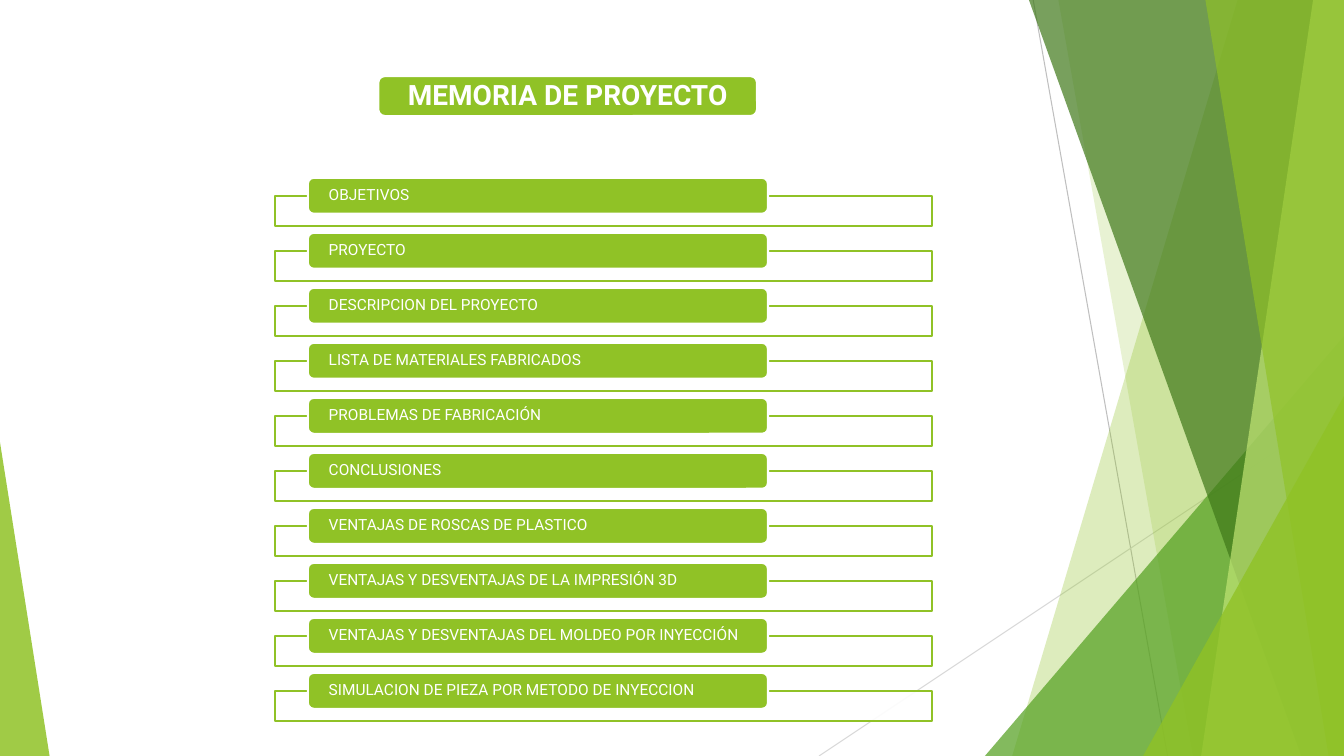
from dataclasses import dataclass

import pptx
import pptx.dml.color
import pptx.enum.shapes
import pptx.enum.text
import pptx.oxml
import pptx.oxml.ns
import pptx.util
from lxml import etree

Pt = pptx.util.Pt
MSO_SHAPE = pptx.enum.shapes.MSO_SHAPE
PP_ALIGN = pptx.enum.text.PP_ALIGN
qn = pptx.oxml.ns.qn


@dataclass(frozen=True)
class Theme:
    lime: str = "90C226"
    leaf: str = "54A021"
    forest: str = "3F7819"
    pale: str = "C0E474"
    white: str = "FFFFFF"
    gray: str = "BFBFBF"
    light_gray: str = "D9D9D9"
    font: str = "Roboto"
    title_size: float = 20
    topic_size: float = 11
    outline: float = 1.5
    hairline: float = 0.75


THEME = Theme()
WIDTH, HEIGHT = 960, 540

RAYS = [
    ((738, 0), (834, HEIGHT), THEME.gray),
    ((WIDTH, 290), (585, HEIGHT), THEME.light_gray),
]
# Top edge x, bottom edge x, colour, opacity in percent
BACK_SHARDS = [(884, 723, THEME.lime, 30), (756, 852, THEME.lime, 20)]
FRONT_SHARDS = [
    (735, 929.5, THEME.forest, 70),
    (938, 858, THEME.pale, 70),
    (861, 949, THEME.lime, 65),
]

TOPICS = [
    "OBJETIVOS",
    "PROYECTO",
    "DESCRIPCION DEL PROYECTO",
    "LISTA DE MATERIALES FABRICADOS",
    "PROBLEMAS DE FABRICACIÓN",
    "CONCLUSIONES",
    "VENTAJAS DE ROSCAS DE PLASTICO",
    "VENTAJAS Y DESVENTAJAS DE LA IMPRESIÓN 3D",
    "VENTAJAS Y DESVENTAJAS DEL MOLDEO POR INYECCIÓN",
    "SIMULACION DE PIEZA POR METODO DE INYECCION",
]
FIRST_TOPIC_TOP = 127
TOPIC_STEP = 39.29
FRAME_DROP = 12.75


def rgb(color):
    return pptx.dml.color.RGBColor.from_string(color)


def paint(shape, color, opacity=100, line=None):
    shape.shadow.inherit = False
    shape.fill.solid()
    shape.fill.fore_color.rgb = rgb(color)
    if opacity < 100:
        tint = shape.fill._xPr.find(qn("a:solidFill"))[0]
        etree.SubElement(tint, qn("a:alpha")).set("val", str(opacity * 1000))
    if line:
        shape.line.color.rgb = rgb(line)
        shape.line.width = Pt(THEME.outline)
    else:
        shape.line.fill.background()


def add_ray(slide, start, end, color):
    ray = slide.shapes.add_connector(
        pptx.enum.shapes.MSO_CONNECTOR.STRAIGHT, *map(Pt, start + end))
    ray.line.color.rgb = rgb(color)
    ray.line.width = Pt(THEME.hairline)
    etree.SubElement(ray._element.spPr, qn("a:effectLst"))


def add_shard(slide, top_x, bottom_x, color, opacity):
    """Fill from a slanted left edge to the right side of the slide."""
    outline = slide.shapes.build_freeform(Pt(top_x), 0)
    outline.add_line_segments([
        (Pt(WIDTH), 0), (Pt(WIDTH), Pt(HEIGHT)), (Pt(bottom_x), Pt(HEIGHT))])
    paint(outline.convert_to_shape(), color, opacity)


def add_corner(slide, left, top, width, apex, color, opacity):
    """Stand a right triangle on the bottom of the slide."""
    corner = slide.shapes.add_shape(
        MSO_SHAPE.ISOSCELES_TRIANGLE, Pt(left), Pt(top), Pt(width), Pt(HEIGHT - top))
    corner.adjustments[0] = apex
    paint(corner, color, opacity)


def add_pill(slide, box, words, size, inset, align=PP_ALIGN.LEFT, bold=False):
    pill = slide.shapes.add_shape(MSO_SHAPE.ROUNDED_RECTANGLE, *map(Pt, box))
    paint(pill, THEME.lime, line=THEME.white)
    frame = pill.text_frame
    frame.word_wrap = True
    frame.vertical_anchor = pptx.enum.text.MSO_ANCHOR.MIDDLE
    frame.margin_left = frame.margin_right = Pt(inset)
    frame.margin_top = frame.margin_bottom = 0
    paragraph = frame.paragraphs[0]
    paragraph.alignment = align
    paragraph.line_spacing = 0.9
    run = paragraph.add_run()
    run.text = words
    run.font.name = THEME.font
    run.font.size = Pt(size)
    run.font.bold = bold
    run.font.color.rgb = rgb(THEME.white)


def add_topic(slide, top, words):
    frame = slide.shapes.add_shape(
        MSO_SHAPE.RECTANGLE, Pt(196.4), Pt(top + FRAME_DROP), Pt(469.6), Pt(21.6))
    paint(frame, THEME.white, 90, THEME.lime)
    add_pill(slide, (219.9, top, 328.7, 25.7), words, THEME.topic_size, 13.7)


def add_backdrop(slide):
    for ray in RAYS:
        add_ray(slide, *ray)
    for shard in BACK_SHARDS:
        add_shard(slide, *shard)
    add_corner(slide, 703.5, 240, 256.5, 1, THEME.leaf, 72)
    for shard in FRONT_SHARDS:
        add_shard(slide, *shard)
    add_corner(slide, 816.5, 283, 143.5, 1, THEME.lime, 80)
    add_corner(slide, 0, 316, 35.4, 0, THEME.lime, 85)


def main():
    deck = pptx.Presentation()
    deck.slide_width, deck.slide_height = Pt(WIDTH), Pt(HEIGHT)
    slide = deck.slides.add_slide(deck.slide_layouts[6])
    add_backdrop(slide)
    add_pill(slide, (270.2, 54.3, 270.6, 28.6), "MEMORIA DE PROYECTO",
             THEME.title_size, 7, PP_ALIGN.CENTER, bold=True)
    for row, words in enumerate(TOPICS):
        add_topic(slide, FIRST_TOPIC_TOP + row * TOPIC_STEP, words)
    deck.save("out.pptx")


if __name__ == "__main__":
    main()
